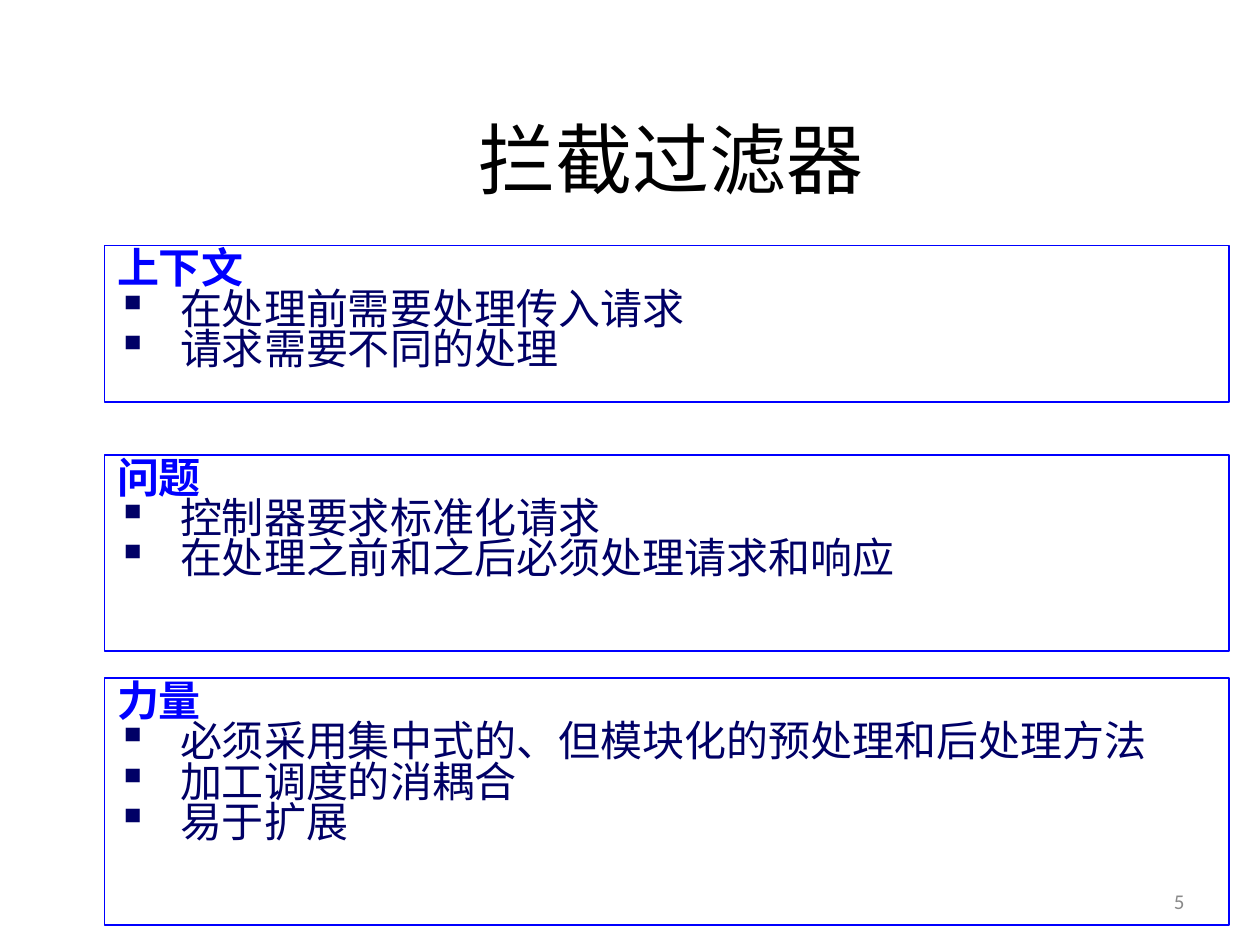
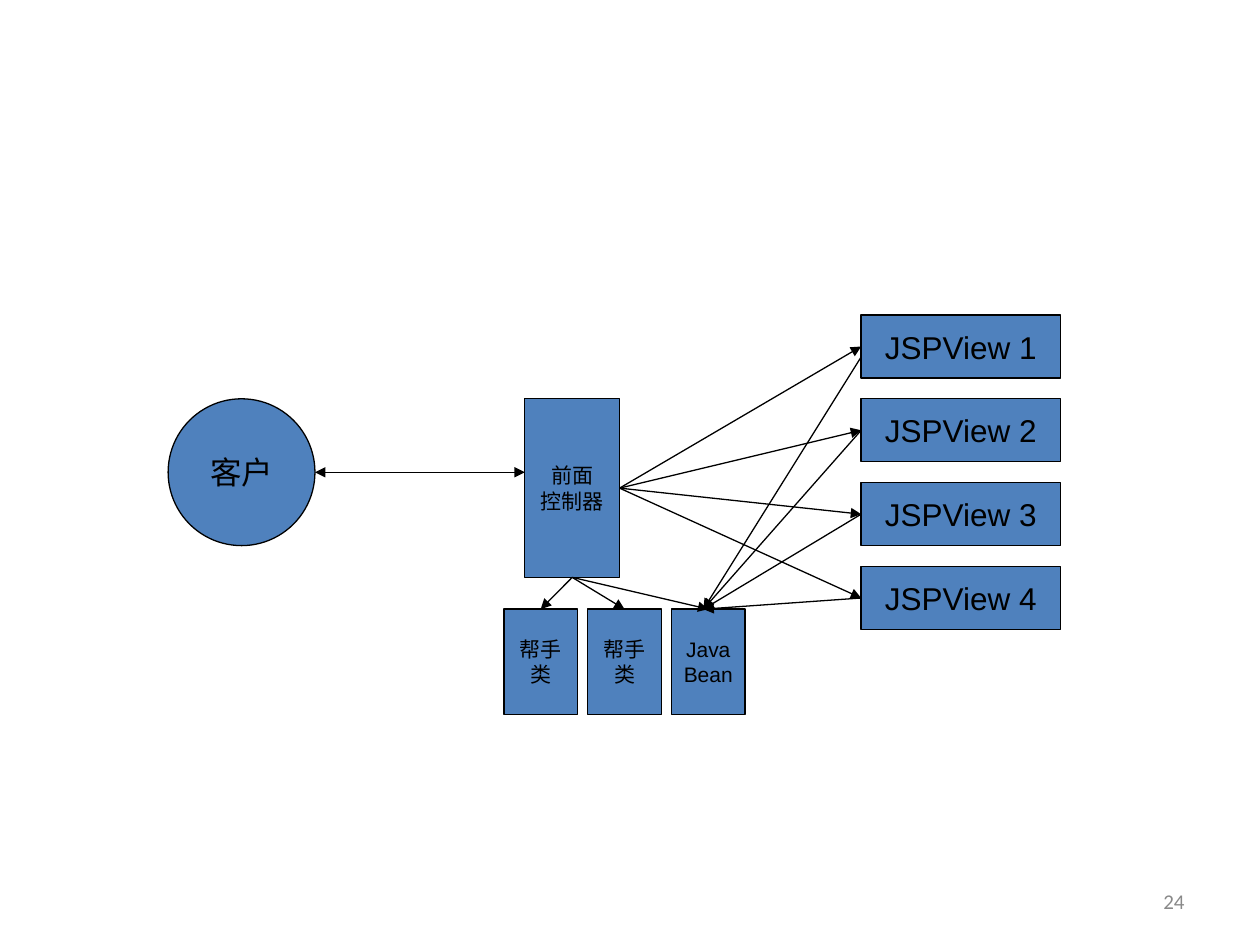
from lxml import etree
from pptx import Presentation
from pptx import util as u
from pptx.dml.color import RGBColor
from pptx.enum import shapes, text
from pptx.oxml.ns import qn

BLACK = RGBColor(0, 0, 0)
BLUE = RGBColor(0x00, 0x00, 0xFF)
NAVY = RGBColor(0x00, 0x00, 0x66)
STEEL = RGBColor(0x4F, 0x81, 0xBD)
GREY = RGBColor(0x89, 0x89, 0x89)

# Content: top and height in cm, heading, points
TITLE = "拦截过滤器"
SECTIONS = [
    (4.95, 3.15, "上下文", ["在处理前需要处理传入请求", "请求需要不同的处理"]),
    (9.17, 3.96, "问题", ["控制器要求标准化请求", "在处理之前和之后必须处理请求和响应"]),
    (13.67, 4.98, "力量", ["必须采用集中式的、但模块化的预处理和后处理方法",
                         "加工调度的消耦合", "易于扩展"]),
]
CLIENT = "客户"
CONTROLLER = "前面\n控制器"
VIEWS = ["JSPView 1", "JSPView 2", "JSPView 3", "JSPView 4"]
HELPERS = ["帮手\n类", "帮手\n类", "Java\nBean"]

# Diagram measures in cm
PITCH = 1.69
CLIENT_BOX = (3.39, 8.04, 2.96, 2.96)
CONTROLLER_BOX = (10.58, 8.04, 1.91, 3.6)
VIEW_LEFT, VIEW_TOP, VIEW_WIDTH, VIEW_HEIGHT = 17.36, 6.35, 4.02, 1.27
HELPER_LEFT, HELPER_TOP, HELPER_WIDTH, HELPER_HEIGHT = 10.16, 12.28, 1.48, 2.12
BEAN_ENTRY = (14.18, HELPER_TOP)  # where the views reach the bean


def cm(*lengths):
    return [u.Cm(length) for length in lengths]


def style(para, font, size, color, bold=False):
    for span in para.runs:
        span.font.name = font
        span.font.size = u.Pt(size)
        span.font.color.rgb = color
        span.font.bold = bold


def add_text(page, place, words, size, color, align):
    box = page.shapes.add_textbox(*cm(*place))
    frame = box.text_frame
    frame.word_wrap = True
    frame.vertical_anchor = text.MSO_ANCHOR.MIDDLE
    frame.text = words
    frame.paragraphs[0].alignment = align
    style(frame.paragraphs[0], "Calibri", size, color)


def add_page(number):
    page = deck.slides.add_slide(deck.slide_layouts[6])
    return page, lambda: add_text(page, (18.2, 17.66, 5.93, 1.01), str(number),
                                  12, GREY, text.PP_ALIGN.RIGHT)


def add_shape(page, kind, place, line_color, line_width):
    shape = page.shapes.add_shape(kind, *cm(*place))
    shape.shadow.inherit = False
    shape.fill.background()
    shape.line.color.rgb = line_color
    shape.line.width = u.Pt(line_width)
    return shape


def add_section(page, top, height, heading, points):
    box = add_shape(page, shapes.MSO_SHAPE.RECTANGLE, (2.11, top, 22.66, height), BLUE, 1)
    frame = box.text_frame
    frame.word_wrap = True
    frame.vertical_anchor = text.MSO_ANCHOR.TOP
    frame.text = "\n".join([heading] + points)
    for index, para in enumerate(frame.paragraphs):
        para.alignment = text.PP_ALIGN.LEFT
        para.line_spacing = 0.8
        style(para, "Arial Narrow", 24, NAVY if index else BLUE, bold=index == 0)
        layout = para._p.get_or_add_pPr()
        layout.set("marL", str(u.Cm(1.27)))
        layout.set("indent", str(-u.Cm(1.27)))
        if index:
            etree.SubElement(layout, qn("a:buChar")).set("char", "▪")


def add_node(page, words, place, size, kind=shapes.MSO_SHAPE.RECTANGLE):
    node = add_shape(page, kind, place, BLACK, 0.75)
    node.fill.solid()
    node.fill.fore_color.rgb = STEEL
    frame = node.text_frame
    frame.word_wrap = False
    frame.vertical_anchor = text.MSO_ANCHOR.MIDDLE
    frame.text = words
    for para in frame.paragraphs:
        para.alignment = text.PP_ALIGN.CENTER
        style(para, "Arial", size, BLACK)


def add_arrow(page, start, end, both=False):
    arrow = page.shapes.add_connector(shapes.MSO_CONNECTOR.STRAIGHT, *cm(*start, *end))
    arrow.line.color.rgb = BLACK
    arrow.line.width = u.Pt(0.75)
    outline = arrow.line._get_or_add_ln()
    for tip in (["headEnd"] if both else []) + ["tailEnd"]:
        etree.SubElement(outline, qn("a:" + tip)).set("type", "triangle")
    etree.SubElement(arrow._element.spPr, qn("a:effectLst"))


deck = Presentation()
deck.slide_width, deck.slide_height = cm(25.4, 19.05)

# Slide: context, problem and forces of the pattern
page, add_number = add_page(5)
add_text(page, (2.29, 2.44, 22.48, 1.47), TITLE, 44, BLACK, text.PP_ALIGN.CENTER)
for section in SECTIONS:
    add_section(page, *section)
add_number()

# Slide: front controller diagram
page, add_number = add_page(24)
left, top, width, height = CONTROLLER_BOX
right_port = (left + width, top + height / 2)
bottom_port = (left + width / 2, top + height)

add_node(page, CONTROLLER, CONTROLLER_BOX, 12)
add_node(page, CLIENT, CLIENT_BOX, 18, shapes.MSO_SHAPE.OVAL)
client_middle = CLIENT_BOX[1] + CLIENT_BOX[3] / 2
add_arrow(page, (CLIENT_BOX[0] + CLIENT_BOX[2], client_middle),
          (left, client_middle), both=True)

# Helpers below the controller
for index, words in enumerate(HELPERS):
    x = HELPER_LEFT + index * PITCH
    add_node(page, words, (x, HELPER_TOP, HELPER_WIDTH, HELPER_HEIGHT), 12)
    add_arrow(page, bottom_port, (x + HELPER_WIDTH / 2, HELPER_TOP))

# Views on the right, each reading the bean
for index, words in enumerate(VIEWS):
    y = VIEW_TOP + index * PITCH
    middle = y + VIEW_HEIGHT / 2
    add_node(page, words, (VIEW_LEFT, y, VIEW_WIDTH, VIEW_HEIGHT), 18)
    add_arrow(page, right_port, (VIEW_LEFT, middle))
    exit_y = middle if index else middle + 0.21
    add_arrow(page, (VIEW_LEFT, exit_y), BEAN_ENTRY)
add_number()

deck.save("out.pptx")
